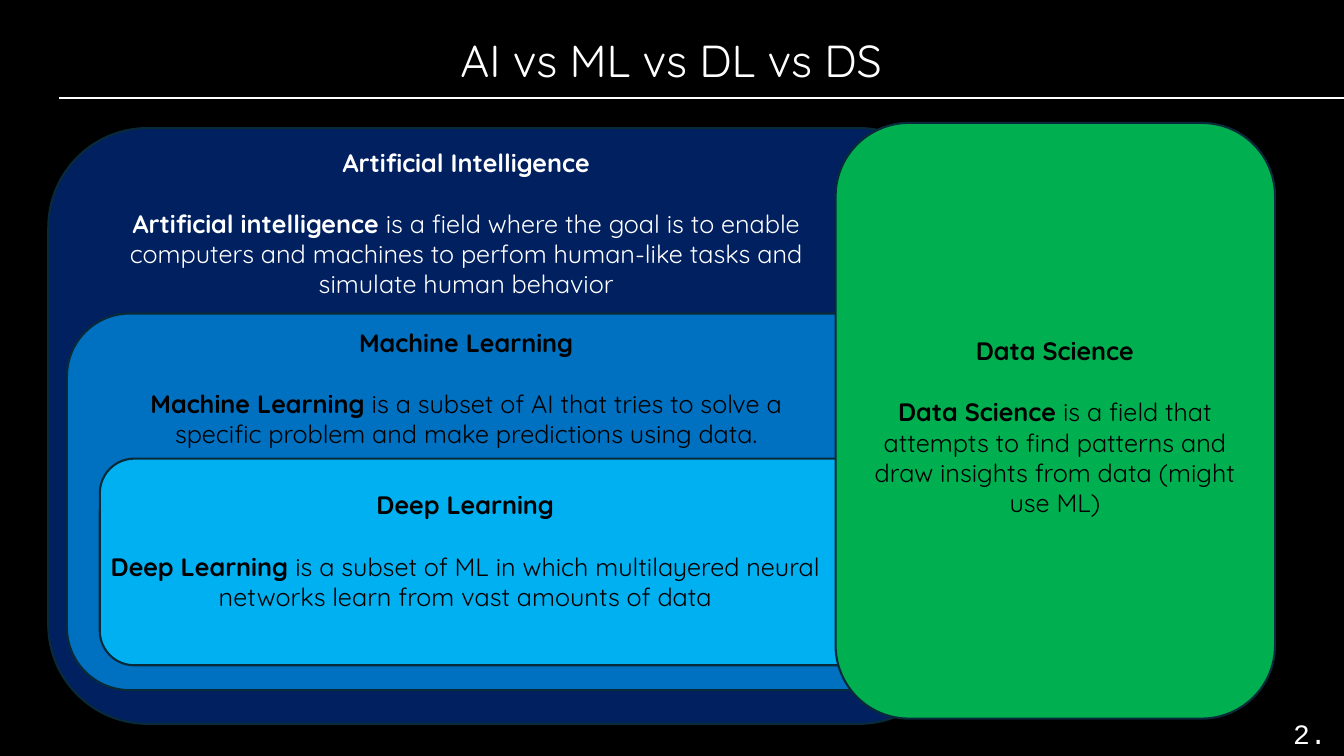
import pptx
import pptx.util
import pptx.dml.color
import pptx.enum.shapes
import pptx.enum.text
import pptx.oxml
import pptx.oxml.ns

Pt = pptx.util.Pt
WHITE, BLACK, OUTLINE = "FFFFFF", "000000", "092A39"
TITLE = {"name": "Quicksand", "size": Pt(32), "bold": False}
HEADING = {"name": "Quicksand", "size": Pt(18), "bold": True}
BODY = {**HEADING, "bold": False}
PAGE_NUMBER = {"name": "Courier New", "size": Pt(20), "bold": False}
CENTER = {"alignment": pptx.enum.text.PP_ALIGN.CENTER}
DEFINITION = {**CENTER, "space_before": Pt(22)}

PANELS = [
    ((34.5, 91.5, 650, 425.5), "002060", (71.3, 101.5, 523.4, 116.6), WHITE,
     "Artificial Intelligence", "Artificial intelligence ",
     "is a field where the goal is to enable computers and machines to "
     "perfom human-like tasks and simulate human behavior"),
    ((47.8, 224, 624, 269), "0070C0", (72, 230.4, 522, 94.3), BLACK,
     "Machine Learning", "Machine Learning ",
     "is a subset of AI that tries to solve a specific problem and make "
     "predictions using data."),
    ((71.3, 327.6, 579.6, 147.6), "00B0F0", (70.6, 346.3, 523.4, 94.3), BLACK,
     "Deep Learning", "Deep Learning ",
     "is a subset of ML in which multilayered neural networks learn from "
     "vast amounts of data"),
    ((596.9, 87.8, 313.9, 425.5), "00B050", (607.7, 236.2, 291.6, 138.2), BLACK,
     "Data Science", "Data Science ",
     "is a field that attempts to find patterns and draw insights from data "
     "(might use ML)"),
]


def color(value):
    return pptx.dml.color.RGBColor.from_string(value)


def apply_format(target, values):
    for name, value in values.items():
        setattr(target, name, value)


def add_text(slide, box, paragraphs, font_color):
    shape = slide.shapes.add_textbox(*map(Pt, box))
    frame = shape.text_frame
    frame.word_wrap = True
    for index, (layout, runs) in enumerate(paragraphs):
        paragraph = frame.add_paragraph() if index else frame.paragraphs[0]
        apply_format(paragraph, layout)
        for text, font in runs:
            run = paragraph.add_run()
            run.text = text
            apply_format(run.font, font)
            run.font.color.rgb = color(font_color)


def add_panel(slide, box, fill):
    kind = pptx.enum.shapes.MSO_SHAPE.ROUNDED_RECTANGLE
    shape = slide.shapes.add_shape(kind, *map(Pt, box))
    shape.shadow.inherit = False
    shape.fill.solid()
    shape.fill.fore_color.rgb = color(fill)
    shape.line.color.rgb = color(OUTLINE)
    shape.line.width = Pt(1.5)


def add_rule(slide, left, right, top):
    kind = pptx.enum.shapes.MSO_CONNECTOR.STRAIGHT
    ends = map(Pt, (left, top, right, top))
    connector = slide.shapes.add_connector(kind, *ends)
    connector.line.color.rgb = color(WHITE)
    connector.line.width = Pt(1.5)
    effects = pptx.oxml.parse_xml(
        "<a:effectLst %s/>" % pptx.oxml.ns.nsdecls("a"))
    connector._element.spPr.append(effects)


def main():
    presentation = pptx.Presentation()
    presentation.slide_width, presentation.slide_height = Pt(960), Pt(540)
    slide = presentation.slides.add_slide(presentation.slide_layouts[6])
    slide.background.fill.solid()
    slide.background.fill.fore_color.rgb = color(BLACK)

    title = [(CENTER, [("AI vs ML vs DL vs DS", TITLE)])]
    add_text(slide, (310, 19.5, 339, 46), title, WHITE)
    add_rule(slide, 42.3, 960, 69.8)
    for box, fill, text_box, font_color, heading, term, meaning in PANELS:
        add_panel(slide, box, fill)
        paragraphs = [
            (CENTER, [(heading, HEADING)]),
            (DEFINITION, [(term, HEADING), (meaning, BODY)]),
        ]
        add_text(slide, text_box, paragraphs, font_color)
    add_text(slide, (916.6, 508.3, 42.5, 31.5),
             [({}, [("2.", PAGE_NUMBER)])], WHITE)
    presentation.save("out.pptx")


if __name__ == "__main__":
    main()
